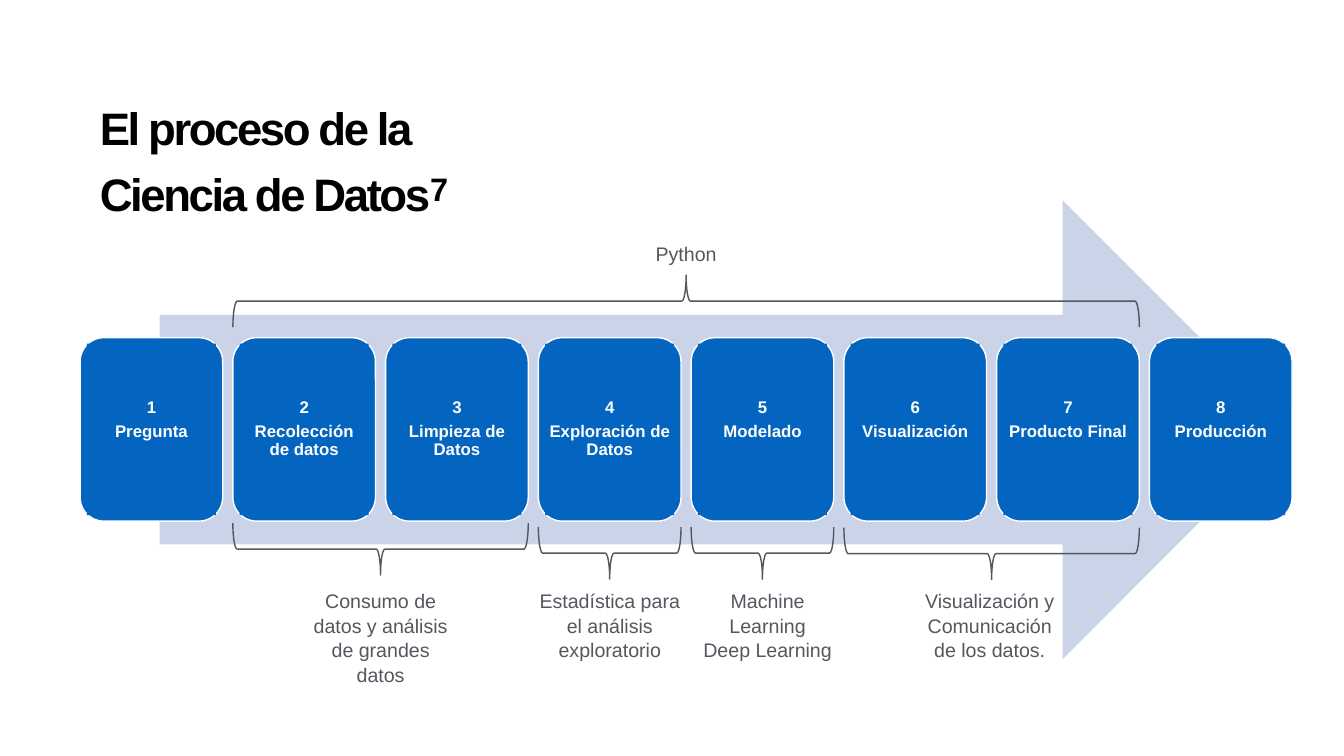
from dataclasses import dataclass

from pptx import Presentation
from pptx.dml.color import RGBColor
from pptx.enum.shapes import MSO_SHAPE
from pptx.enum.text import MSO_ANCHOR, PP_ALIGN
from pptx.util import Inches, Pt

ARROW = MSO_SHAPE.RIGHT_ARROW
ROUNDED = MSO_SHAPE.ROUNDED_RECTANGLE
RECT = MSO_SHAPE.RECTANGLE
BRACE = MSO_SHAPE.LEFT_BRACE
TOP = MSO_ANCHOR.TOP
CENTER = PP_ALIGN.CENTER
LEFT = PP_ALIGN.LEFT


@dataclass
class Theme:
    font: str = "Arial"
    black: str = "000000"
    white: str = "FFFFFF"
    blue: str = "0365C0"
    pale: str = "CBD3E8"
    grey: str = "53585F"
    title: int = 112
    note: int = 80
    step: int = 24
    label: int = 28
    line: int = 2


THEME = Theme()
STEPS = ["Pregunta", "Recolección de datos", "Limpieza de Datos",
         "Exploración de Datos", "Modelado", "Visualización",
         "Producto Final", "Producción"]
STEP_W, STEP_H = 2.83, 3.64
BRACE_H = 1.03
LABEL_W = 3.02


def add_shape(s, kind, box, fill=None, line=None):
    sp = s.shapes.add_shape(kind, *map(Inches, box))
    sp.shadow.inherit = False
    if fill:
        sp.fill.solid()
        sp.fill.fore_color.rgb = RGBColor.from_string(fill)
    else:
        sp.fill.background()
    if line:
        sp.line.color.rgb = RGBColor.from_string(line)
        sp.line.width = Pt(THEME.line)
    else:
        sp.line.fill.background()
    return sp


def set_frame(tf, **margins):
    tf.word_wrap = True
    tf.vertical_anchor = TOP
    for side, value in margins.items():
        setattr(tf, "margin_" + side, Inches(value))


def add_run(p, text, size, color, bold=False):
    r = p.add_run()
    r.text = text
    values = {"name": THEME.font, "size": Pt(size), "bold": bold}
    for name, value in values.items():
        setattr(r.font, name, value)
    r.font.color.rgb = RGBColor.from_string(color)
    return r


def add_paragraphs(tf, texts, size, color, bold=False, **values):
    for i, text in enumerate(texts):
        p = tf.add_paragraph() if i else tf.paragraphs[0]
        for name, value in values.items():
            setattr(p, name, value)
        add_run(p, text, size, color, bold)


def add_title(s, box):
    tf = s.shapes.add_textbox(*map(Inches, box)).text_frame
    set_frame(tf, left=0.06, right=0.06, top=0.06, bottom=0.06)
    p = tf.paragraphs[0]
    p.alignment = LEFT
    p.line_spacing = 0.7
    parts = [("El proceso de la Ciencia de Datos", THEME.title, 9000),
             ("7", THEME.note, 30000)]
    for text, size, baseline in parts:
        r = add_run(p, text, size, THEME.black, True)
        rpr = r.font._element
        rpr.set("baseline", str(baseline))
        rpr.set("spc", "-340")


def add_steps(s, box):
    left, top, width, height = box
    pitch = (width - STEP_W) / (len(STEPS) - 1)
    for i, name in enumerate(STEPS):
        x = left + i * pitch
        add_shape(s, ROUNDED, (x, top, STEP_W, height), THEME.blue, THEME.white)
        inner = (x + 0.135, top + 0.12, STEP_W - 0.27, height - 0.24)
        tf = add_shape(s, RECT, inner, THEME.blue).text_frame
        set_frame(tf, left=0.07, right=0.07, top=1.09, bottom=0.07)
        add_paragraphs(tf, [str(i + 1), name], THEME.step, THEME.white, True,
                       alignment=CENTER, line_spacing=0.9, space_after=Pt(9))


def add_brace(s, box, rotation):
    x, y, w, h = box
    frame = (x + (w - h) / 2, y + (h - w) / 2, h, w)
    add_shape(s, BRACE, frame, line=THEME.grey).rotation = rotation


def add_label(s, box, texts):
    tf = s.shapes.add_textbox(*map(Inches, box)).text_frame
    set_frame(tf, left=0.1, right=0.1, top=0.05, bottom=0.05)
    add_paragraphs(tf, texts, THEME.label, THEME.grey,
                   alignment=CENTER, line_spacing=1.05)


def add_tools(s, box):
    left, width = box[0], box[2]
    pitch = (width - STEP_W) / (len(STEPS) - 1)
    tools = [
        (2, 3, 10.38, 270, 11.61, 1.99, 0,
         ["Consumo de datos y análisis de grandes datos"]),
        (4, 4, 10.46, 270, 11.61, 1.51, 0,
         ["Estadística para el análisis exploratorio"]),
        (5, 5, 10.46, 270, 11.61, 1.51, 0.1,
         ["Machine Learning", "Deep Learning"]),
        (6, 7, 10.47, 270, 11.61, 1.51, -0.04,
         ["Visualización y Comunicación de los datos."]),
        (2, 7, 5.46, 90, 4.72, 0.57, 0, ["Python"]),
    ]
    for first, last, y, rotation, label_y, label_h, shift, texts in tools:
        x = left + (first - 1) * pitch
        w = (last - first) * pitch + STEP_W
        add_brace(s, (x, y, w, BRACE_H), rotation)
        label_x = x + (w - LABEL_W) / 2 + shift
        add_label(s, (label_x, label_y, LABEL_W, label_h), texts)


def build_process(prs):
    s = prs.slides.add_slide(prs.slide_layouts[6])
    row = (1.59, 6.7, 24.05, STEP_H)
    add_title(s, (1.92, 1.92, 7.96, 6.25))
    add_shape(s, ARROW, (3.17, 3.97, 22.47, 9.11), THEME.pale)
    add_steps(s, row)
    add_tools(s, row)


prs = Presentation()
prs.slide_width = Inches(26.67)
prs.slide_height = Inches(15)
build_process(prs)
prs.save("out.pptx")
